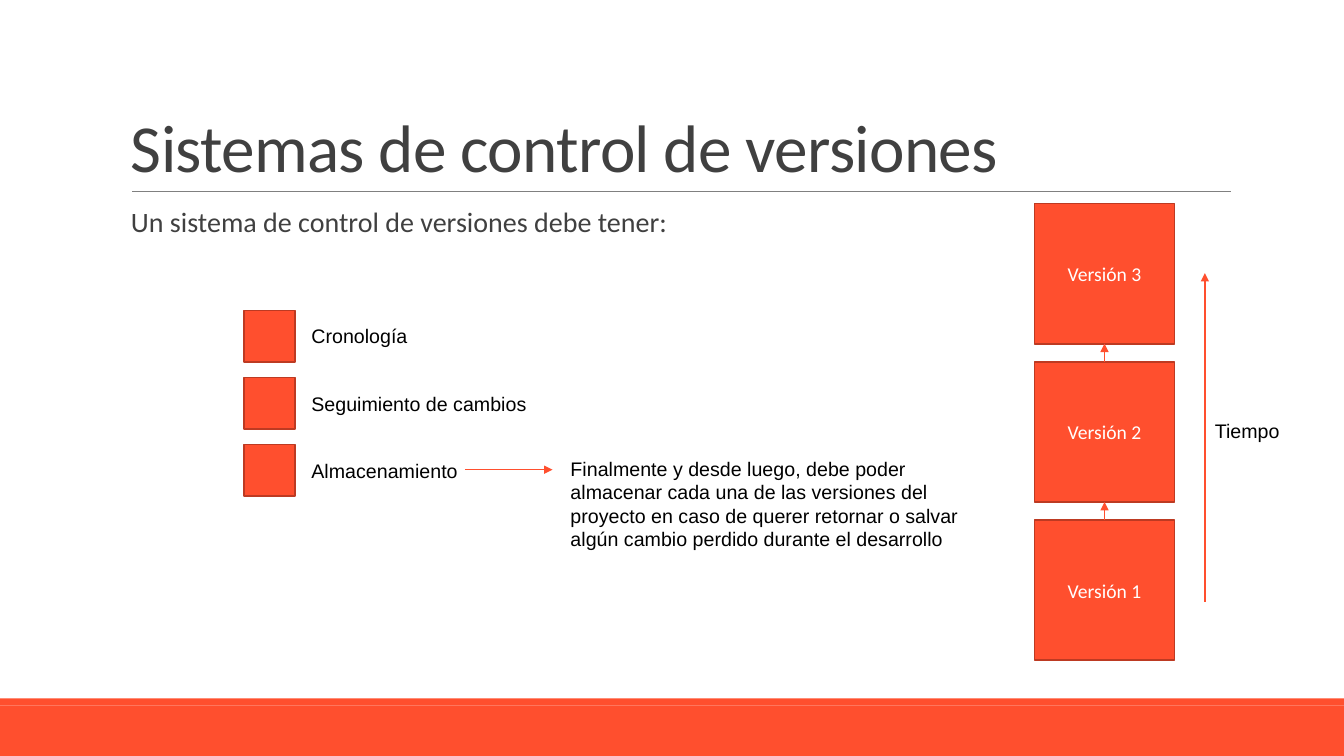
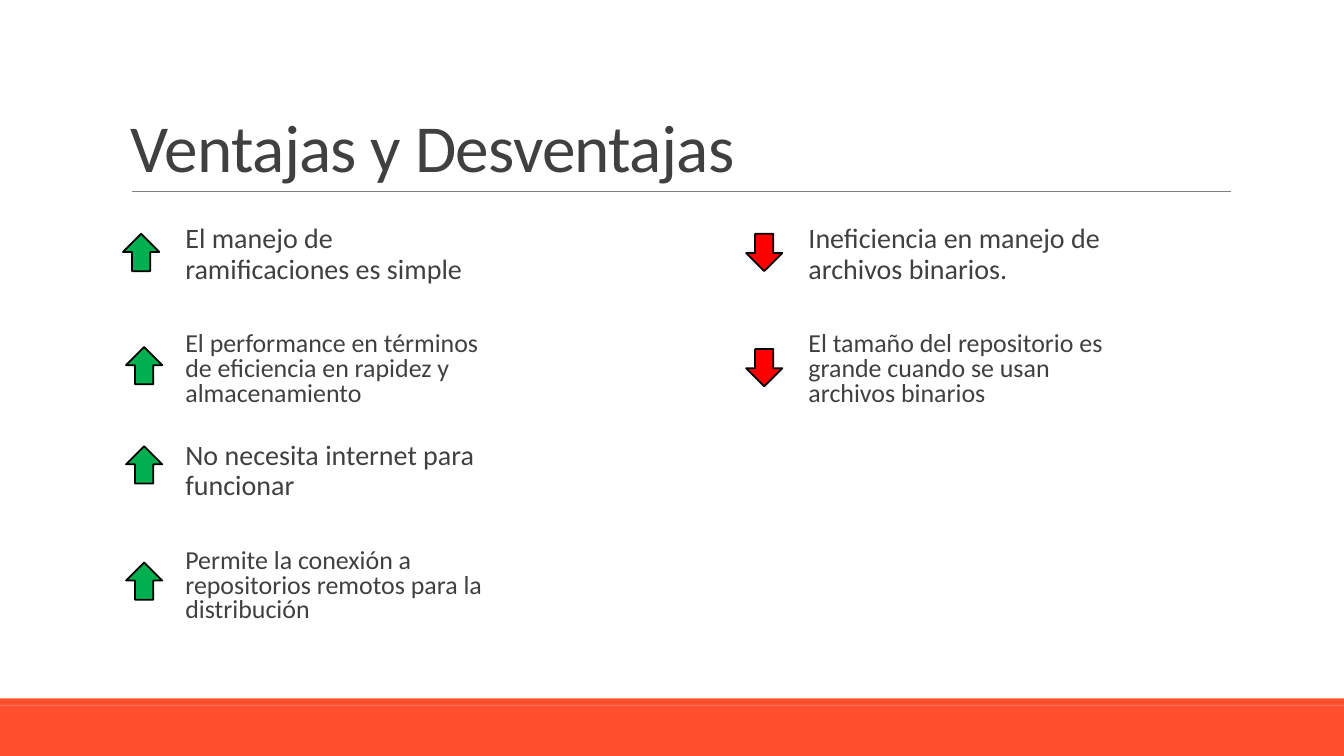
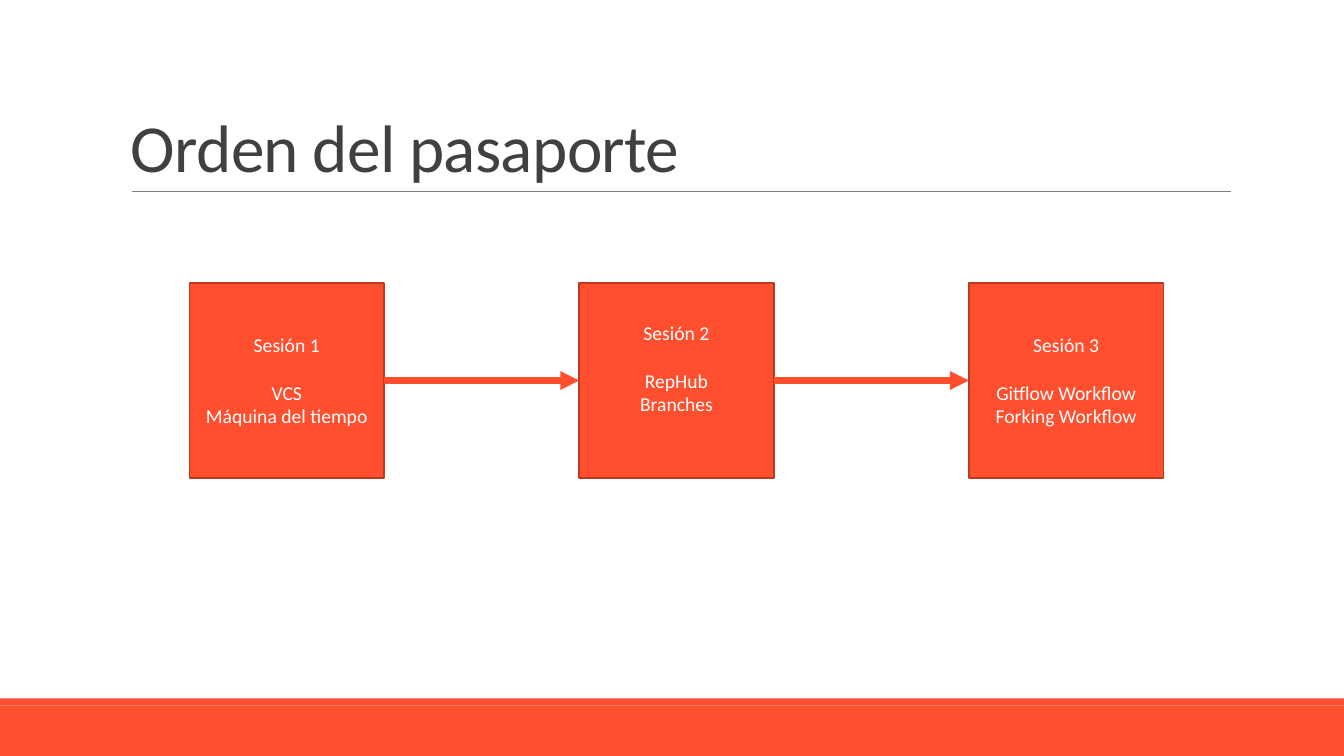
from pptx import Presentation
from pptx.dml.color import RGBColor
from pptx.enum.shapes import MSO_CONNECTOR, MSO_SHAPE
from pptx.enum.text import MSO_ANCHOR, PP_ALIGN
from pptx.oxml.ns import qn
from pptx.util import Inches, Pt
from lxml import etree

ORANGE = RGBColor(0xFF, 0x4F, 0x2E)
RUST = RGBColor(0xBD, 0x3A, 0x22)
GRAY = RGBColor(0x80, 0x80, 0x80)
DARK = RGBColor(0x40, 0x40, 0x40)
BLACK = RGBColor(0, 0, 0)
WHITE = RGBColor(0xFF, 0xFF, 0xFF)
GREEN = RGBColor(0x00, 0xB0, 0x50)
RED = RGBColor(0xFF, 0x00, 0x00)

RECT = MSO_SHAPE.RECTANGLE
UP, DOWN = MSO_SHAPE.UP_ARROW, MSO_SHAPE.DOWN_ARROW
STRAIGHT = MSO_CONNECTOR.STRAIGHT
TOP, MIDDLE, BOTTOM = MSO_ANCHOR.TOP, MSO_ANCHOR.MIDDLE, MSO_ANCHOR.BOTTOM
CENTER = PP_ALIGN.CENTER
# Connection sites of a rectangle
SITE_TOP, SITE_LEFT, SITE_BOTTOM, SITE_RIGHT = range(4)

WIDTH, HEIGHT = 13.33, 7.5
HEADING, PLAIN = "Calibri", "Arial"


# Basic parts
def style_runs(frame, size, font, color):
    for paragraph in frame.paragraphs:
        for run in paragraph.runs:
            run.font.size = Pt(size)
            run.font.name = font
            run.font.color.rgb = color


def add_figure(slide, kind, x, y, w, h, fill, outline=None):
    figure = slide.shapes.add_shape(kind, Inches(x), Inches(y), Inches(w), Inches(h))
    figure.shadow.inherit = False
    figure.fill.solid()
    figure.fill.fore_color.rgb = fill
    if outline is None:
        figure.line.fill.background()
    else:
        figure.line.color.rgb = outline
        figure.line.width = Pt(1.25)
    return figure


def add_square(slide, x, y, side, text=""):
    square = add_figure(slide, RECT, x, y, side, side, ORANGE, RUST)
    frame = square.text_frame
    frame.text = text
    frame.vertical_anchor = MIDDLE
    for paragraph in frame.paragraphs:
        paragraph.alignment = CENTER
    style_runs(frame, 14, HEADING, WHITE)
    return square


def add_text(slide, x, y, w, h, text, size=14, font=PLAIN, color=BLACK, anchor=TOP):
    frame = slide.shapes.add_textbox(Inches(x), Inches(y), Inches(w), Inches(h)).text_frame
    frame.word_wrap = True
    frame.vertical_anchor = anchor
    frame.text = text
    style_runs(frame, size, font, color)
    return frame.paragraphs[0]


def add_body(slide, x, y, w, h, text, size=20, spacing=0.9):
    body = add_text(slide, x, y, w, h, text, size, HEADING, DARK)
    body.line_spacing = spacing
    body.space_before = Pt(12)
    body.space_after = Pt(2)


def add_line(slide, x1, y1, x2, y2, color, width):
    line = slide.shapes.add_connector(STRAIGHT, Inches(x1), Inches(y1), Inches(x2), Inches(y2))
    line.line.color.rgb = color
    line.line.width = Pt(width)
    etree.SubElement(line._element.spPr, qn("a:effectLst"))
    return line


def add_arrow(slide, x1, y1, x2, y2, width=1):
    arrow = add_line(slide, x1, y1, x2, y2, ORANGE, width)
    outline = arrow._element.spPr.find(qn("a:ln"))
    etree.SubElement(outline, qn("a:tailEnd"), type="triangle")
    return arrow


def link(slide, start, start_site, end, end_site, width=1):
    arrow = add_arrow(slide, 0, 0, 1, 1, width)
    arrow.begin_connect(start, start_site)
    arrow.end_connect(end, end_site)


# Frame shared by every slide: bands, title and rule
def new_slide(deck, title):
    slide = deck.slides.add_slide(deck.slide_layouts[6])
    add_figure(slide, RECT, 0, 7, WIDTH, 0.5, ORANGE)
    add_figure(slide, RECT, 0, 6.93, WIDTH, 0.07, ORANGE)
    add_line(slide, 1.31, 1.9, 12.21, 1.9, GRAY, 0.5)
    heading = add_text(slide, 1.2, 0.31, 11, 1.59, title, 48, HEADING, DARK, BOTTOM)
    heading.line_spacing = 0.85
    heading.runs[0]._r.get_or_add_rPr().set("spc", "-50")
    return slide


# Slide 1: requirements and version stack
def add_requirements(slide, x, y, names):
    side, pitch = 0.51, 1.33 / 2
    for i, name in enumerate(names):
        top = y + i * pitch
        add_square(slide, x, top, side)
        add_text(slide, x + 0.57, top, 2.35, side, name, anchor=MIDDLE)


def add_storage_note(slide, x, y, text):
    add_arrow(slide, x, y, x + 0.87, y)
    add_text(slide, x + 0.95, y - 0.18, 4.11, 1.04, text)


def add_version_stack(slide, x, y, count):
    side, pitch = 1.39, 1.57
    versions = [add_square(slide, x, y + (count - n) * pitch, side, f"Versión {n}")
                for n in range(1, count + 1)]
    for older, newer in zip(versions, versions[1:]):
        link(slide, older, SITE_TOP, newer, SITE_BOTTOM)
    # Time axis, between the centres of the first and last version
    axis = x + 1.69
    add_arrow(slide, axis, y + 3.95, axis, y + 0.69)
    add_text(slide, axis, y + 2.09, 0.88, 0.34, "Tiempo")


def build_versions(deck):
    slide = new_slide(deck, "Sistemas de control de versiones")
    add_body(slide, 1.2, 2.02, 7, 4.4, "Un sistema de control de versiones debe tener:")
    add_version_stack(slide, 10.26, 2.02, 3)
    add_requirements(slide, 2.42, 3.08,
                     ["Cronología", "Seguimiento de cambios", "Almacenamiento"])
    add_storage_note(slide, 4.61, 4.66,
                     "Finalmente y desde luego, debe poder almacenar cada una de las "
                     "versiones del proyecto en caso de querer retornar o salvar algún "
                     "cambio perdido durante el desarrollo")


# Slide 2: columns of points, each with an arrow at (dx, dy) from its row
def add_points(slide, x, y, kind, color, points):
    pitch = 3.22 / 3
    for i, (text, dx, dy) in enumerate(points):
        top = y + i * pitch
        size, spacing = (18.5, 0.8) if i % 2 else (20, 0.9)
        add_body(slide, x, top, 3.28, 0.91, text, size, spacing)
        add_figure(slide, kind, x + dx, top + dy, 0.36, 0.37, color, BLACK)


def build_pros_and_cons(deck):
    slide = new_slide(deck, "Ventajas y Desventajas")
    add_points(slide, 1.74, 2.18, UP, GREEN, [
        ("El manejo de ramificaciones es simple", -0.52, 0.14),
        ("El performance en términos de eficiencia en rapidez y almacenamiento", -0.49, 0.19),
        ("No necesita internet para funcionar", -0.49, 0.1),
        ("Permite la conexión a repositorios remotos para la distribución", -0.49, 0.18),
    ])
    add_points(slide, 7.92, 2.18, DOWN, RED, [
        ("Ineficiencia en manejo de archivos binarios.", -0.52, 0.14),
        ("El tamaño del repositorio es grande cuando se usan archivos binarios", -0.52, 0.21),
    ])


# Slide 3: chain of sessions
def add_sessions(slide, x, y, sessions):
    side, pitch = 1.93, 3.865
    squares = []
    for i, (topics, bottom) in enumerate(sessions):
        text = "\n".join([f"Sesión {i + 1}", *topics])
        square = add_square(slide, x + i * pitch, y, side, text)
        square.text_frame.paragraphs[0].space_after = Pt(17)
        square.text_frame.margin_bottom = Inches(bottom)
        squares.append(square)
    for current, following in zip(squares, squares[1:]):
        link(slide, current, SITE_RIGHT, following, SITE_LEFT, 4.5)


def build_sessions(deck):
    slide = new_slide(deck, "Orden del pasaporte")
    add_sessions(slide, 1.88, 2.81, [
        (["VCS", "Máquina del tiempo"], 0.05),
        (["RepHub", "Branches"], 0.29),
        (["Gitflow Workflow", "Forking Workflow"], 0.05),
    ])


def main():
    deck = Presentation()
    deck.slide_width, deck.slide_height = Inches(WIDTH), Inches(HEIGHT)
    build_versions(deck)
    build_pros_and_cons(deck)
    build_sessions(deck)
    deck.save("out.pptx")


if __name__ == "__main__":
    main()
